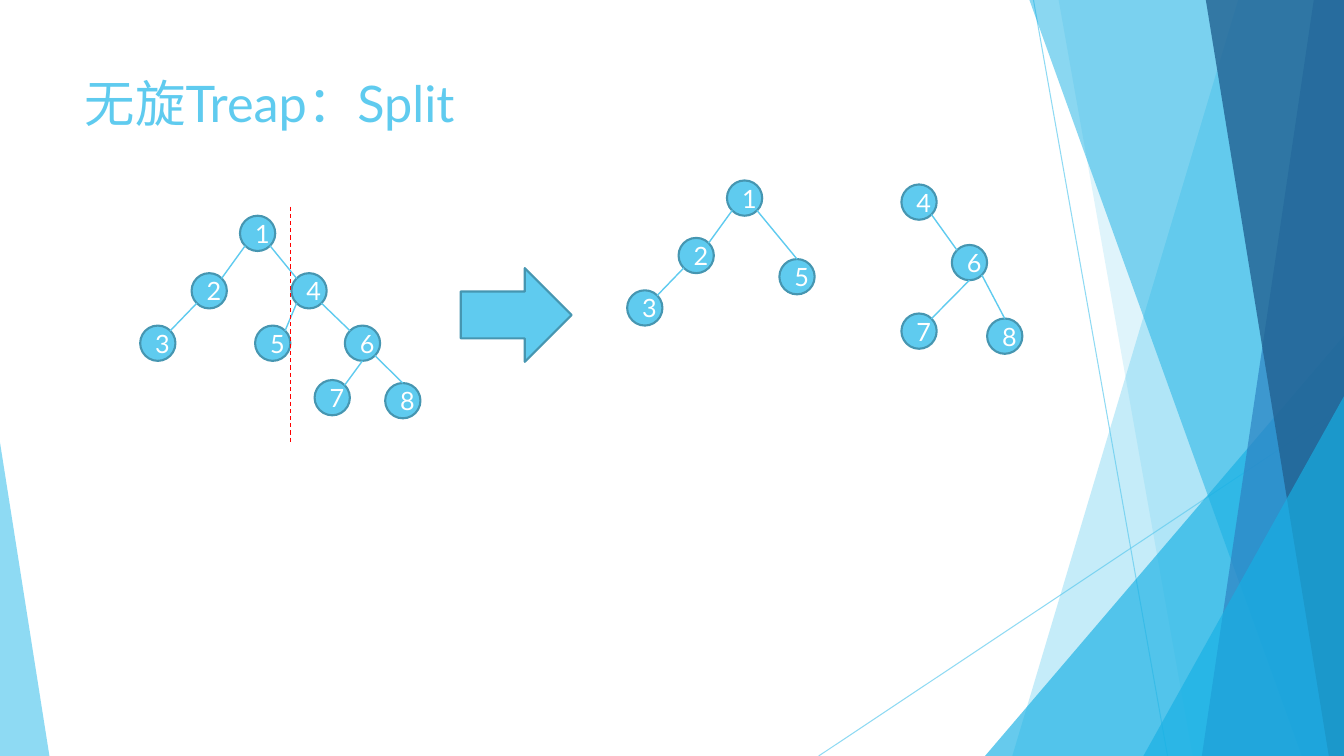
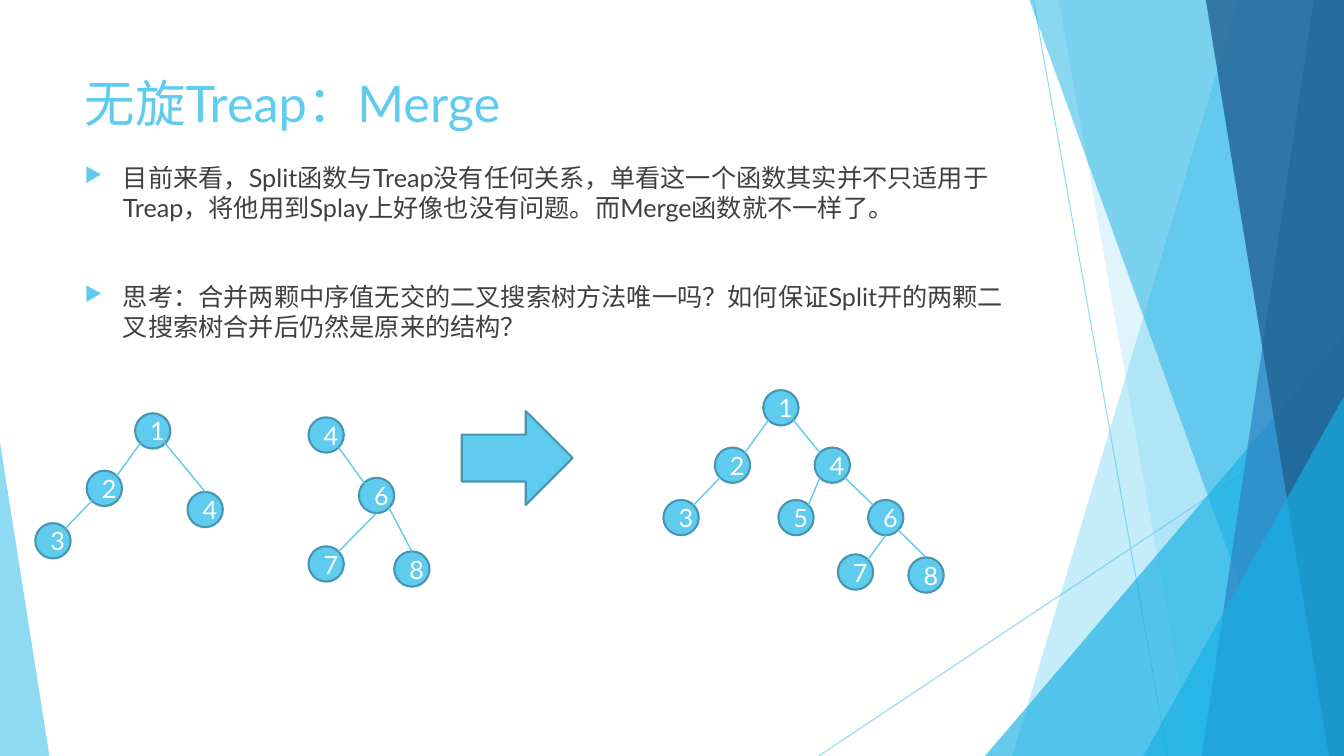
import lxml.etree
import pptx
import pptx.dml.color
import pptx.enum.dml
import pptx.enum.lang
import pptx.enum.shapes
import pptx.enum.text
import pptx.oxml.ns
import pptx.util

Inches = pptx.util.Inches
Pt = pptx.util.Pt
qn = pptx.oxml.ns.qn
SHAPE = pptx.enum.shapes.MSO_SHAPE
ALIGN = pptx.enum.text.PP_ALIGN
ANCHOR = pptx.enum.text.MSO_ANCHOR

# Shared style
WIDE, HIGH = 13.33, 7.5
FONT = "Lato"
SKY, RIM, AZURE = "5FCBEF", "4696B1", "17B0E4"
BLUE, NAVY = "2E83C3", "226292"
WHITE, GREY, RED = "FFFFFF", "404040", "FF0000"

# Points on a node's edge, as shares of its size
NODE = 0.35
SITES = {"n": (0.5, 0), "s": (0.5, 1), "ne": (0.85, 0.15),
         "nw": (0.15, 0.15), "se": (0.85, 0.85), "sw": (0.15, 0.85)}

# Trees: node offsets from the root, then edges with their sites
FULL = (
    {"1": (0, 0), "2": (-0.48, 0.57), "3": (-0.99, 1.09), "4": (0.51, 0.57),
     "5": (0.15, 1.09), "6": (1.04, 1.09), "7": (0.74, 1.63),
     "8": (1.44, 1.66)},
    ["1 sw 2 ne", "2 sw 3 ne", "1 se 4 nw", "4 sw 5 ne", "4 se 6 nw",
     "6 s 7 ne", "6 se 8 n"],
)
LOW = (
    {"1": (0, 0), "2": (-0.48, 0.57), "3": (-0.99, 1.09), "5": (0.52, 0.78)},
    ["1 sw 2 ne", "2 sw 3 ne", "1 se 5 n"],
)
TOP = (
    {"4": (0, 0), "6": (0.5, 0.6), "7": (0, 1.28), "8": (0.85, 1.33)},
    ["4 se 6 nw", "6 s 7 ne", "6 se 8 n"],
)


def tint(hue):
    return pptx.dml.color.RGBColor.from_string(hue)


def fade(shape, alpha):
    """Set the opacity, in percent, of a shape's own colours."""
    for hue in list(shape.element.spPr.iter(qn("a:srgbClr"))):
        lxml.etree.SubElement(hue, qn("a:alpha")).set("val", str(alpha * 1000))


def write(frame, *lines, size=18, color=GREY, align=ALIGN.LEFT,
          anchor=ANCHOR.TOP, gap=0):
    frame.word_wrap = True
    frame.auto_size = pptx.enum.text.MSO_AUTO_SIZE.NONE
    frame.vertical_anchor = anchor
    for n, line in enumerate(lines):
        para = frame.add_paragraph() if n else frame.paragraphs[0]
        para.alignment = align
        para.space_before = Pt(gap if n else 0)
        run = para.add_run()
        run.text = line
        run.font.name = FONT
        run.font.size = Pt(size)
        run.font.color.rgb = tint(color)
        run.font.language_id = pptx.enum.lang.MSO_LANGUAGE_ID.SIMPLIFIED_CHINESE


def style(shape, fill, rim=None):
    shape.shadow.inherit = False
    shape.fill.solid()
    shape.fill.fore_color.rgb = tint(fill)
    if rim:
        shape.line.color.rgb = tint(rim)
        shape.line.width = Pt(1.5)
    else:
        shape.line.fill.background()
    return shape


def form(slide, kind, box, fill, rim=None):
    shape = slide.shapes.add_shape(kind, *map(Inches, box))
    return style(shape, fill, rim)


def line(slide, start, end, color=SKY, width=1):
    link = slide.shapes.add_connector(
        pptx.enum.shapes.MSO_CONNECTOR.STRAIGHT, *map(Inches, (*start, *end)))
    link.line.color.rgb = tint(color)
    link.line.width = Pt(width)
    lxml.etree.SubElement(link.element.spPr, qn("a:effectLst"))
    return link


# Backdrop
def band(slide, top, foot, fill, alpha):
    """A band from a slanted left edge to the right side of the slide."""
    spots = [(top, 0), (WIDE, 0), (WIDE, HIGH), (foot, HIGH)]
    spots = [(Inches(x), Inches(y)) for x, y in spots]
    path = slide.shapes.build_freeform(*spots[0], scale=1)
    path.add_line_segments(spots[1:], close=True)
    fade(style(path.convert_to_shape(), fill), alpha)


def wedge(slide, box, tip, fill, alpha):
    shape = form(slide, SHAPE.ISOSCELES_TRIANGLE, box, fill)
    shape.adjustments[0] = tip
    fade(shape, alpha)


def dress(deck, layout):
    """Draw the backdrop and move it to the layout, behind its text."""
    slide = deck.slides.add_slide(layout)
    held = len(slide.shapes)
    for start, end in [((10.25, 0), (11.58, HIGH)),
                       ((WIDE, 4.03), (8.12, HIGH))]:
        fade(line(slide, start, end, width=0.75), 70)
    band(slide, 12.28, 10.04, SKY, 36)
    band(slide, 10.5, 11.83, SKY, 20)
    wedge(slide, (9.77, 3.33, 3.56, 4.17), 1, AZURE, 66)
    band(slide, 10.21, 12.91, AZURE, 50)
    band(slide, 13.03, 11.92, BLUE, 70)
    band(slide, 11.96, 13.18, NAVY, 80)
    wedge(slide, (11.34, 3.93, 1.99, 3.57), 1, AZURE, 66)
    wedge(slide, (0, 4.39, 0.49, 3.11), 0, SKY, 70)
    for n, shape in enumerate(list(slide.shapes)[held:]):
        shape.element.xpath(".//p:cNvPr")[0].set("id", str(100 + n))
        layout.shapes.element.insert(2 + n, shape.element)
    return slide


# Content
def head(slide, text):
    title = slide.shapes.title
    title.left, title.top, title.width, title.height = map(
        Inches, (0.74, 0.67, 9.4, 0.78))
    write(title.text_frame, text, size=36, color=SKY)


def points(slide, box, *lines):
    frame = slide.shapes.add_textbox(*map(Inches, box)).text_frame
    write(frame, *lines, gap=42)
    for para in frame.paragraphs:
        props = para._p.get_or_add_pPr()
        props.set("marL", str(Inches(0.38)))
        props.set("indent", str(-Inches(0.38)))
        hue = lxml.etree.SubElement(props, qn("a:buClr"))
        lxml.etree.SubElement(hue, qn("a:srgbClr")).set("val", SKY)
        lxml.etree.SubElement(props, qn("a:buSzPct")).set("val", "80000")
        lxml.etree.SubElement(props, qn("a:buChar")).set("char", "▶")


def tree(slide, kind, left, top, names=None):
    """Draw a tree with its root at left, top; names relabels nodes."""
    nodes, edges = kind
    names = names or {}
    for key, (x, y) in nodes.items():
        box = (left + x, top + y, NODE, NODE)
        shape = form(slide, SHAPE.OVAL, box, SKY, RIM)
        write(shape.text_frame, names.get(key, key), color=WHITE,
              align=ALIGN.CENTER, anchor=ANCHOR.MIDDLE)

    def spot(key, site):
        (x, y), (u, v) = nodes[key], SITES[site]
        return left + x + u * NODE, top + y + v * NODE

    for edge in edges:
        above, out, below, into = edge.split()
        line(slide, spot(above, out), spot(below, into))


def arrow(slide, left, top):
    form(slide, SHAPE.RIGHT_ARROW, (left, top, 1.1, 0.93), SKY, RIM)


def split(slide):
    head(slide, "无旋Treap：Split")
    tree(slide, FULL, 2.38, 2.14)
    cut = line(slide, (2.88, 2.05), (2.88, 4.4), RED, 0.75)
    cut.line.dash_style = pptx.enum.dml.MSO_LINE.DASH
    arrow(slide, 4.57, 2.66)
    tree(slide, LOW, 7.21, 1.79)
    tree(slide, TOP, 8.94, 1.83)


def merge(slide):
    head(slide, "无旋Treap：Merge")
    points(
        slide, (0.74, 1.56, 9.4, 2),
        "目前来看，Split函数与Treap没有任何关系，单看这一个函数其实并不只适用于"
        "Treap，将他用到Splay上好像也没有问题。而Merge函数就不一样了。",
        "思考：合并两颗中序值无交的二叉搜索树方法唯一吗？如何保证Split开的两颗"
        "二叉搜索树合并后仍然是原来的结构？")
    tree(slide, FULL, 7.57, 3.87)
    arrow(slide, 4.58, 4.08)
    tree(slide, LOW, 1.34, 4.1, {"5": "4"})
    tree(slide, TOP, 3.06, 4.14)


def main():
    deck = pptx.Presentation()
    deck.slide_width, deck.slide_height = Inches(WIDE), Inches(HIGH)
    layout = deck.slide_layouts.get_by_name("Title Only")
    split(dress(deck, layout))
    merge(deck.slides.add_slide(layout))
    deck.save("out.pptx")


if __name__ == "__main__":
    main()
